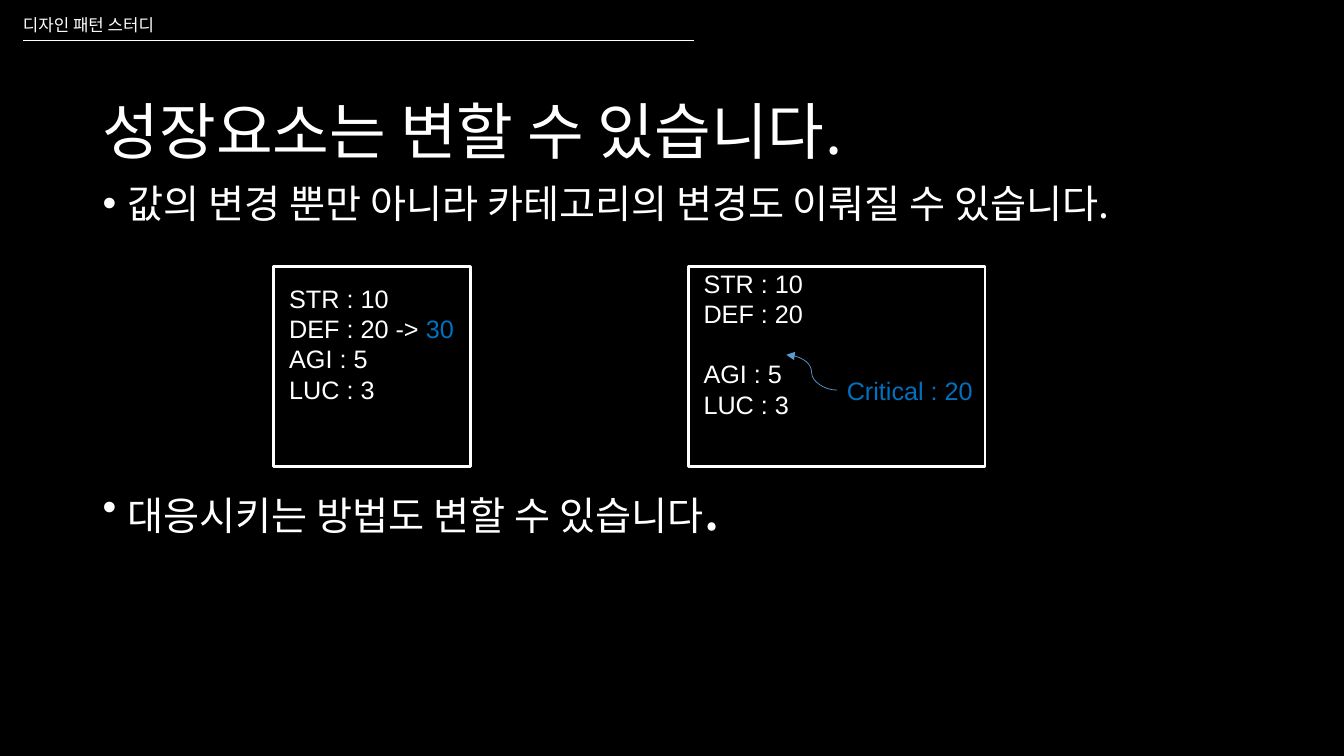
import pptx
import pptx.util
import pptx.dml.color
import pptx.enum.shapes
import pptx.enum.text
import pptx.oxml
import pptx.oxml.ns
from pptx.util import Inches

COLORS = {"background": "000000", "text": "FFFFFF", "change": "0070C0", "arrow": "5B9BD5"}
KOREAN = "Noto Sans CJK KR"
LATIN = "Arial"


def rgb(name):
    return pptx.dml.color.RGBColor.from_string(COLORS[name])


def add_run(paragraph, text, size, font, color="text"):
    run = paragraph.add_run()
    run.text = text
    run.font.size = pptx.util.Pt(size)
    run.font.name = font
    run.font.color.rgb = rgb(color)
    east_asian = pptx.oxml.parse_xml(f'<a:ea {pptx.oxml.ns.nsdecls("a")} typeface="{font}"/>')
    run.font._element.find(pptx.oxml.ns.qn("a:latin")).addnext(east_asian)


presentation = pptx.Presentation()
presentation.slide_width = Inches(13.33)
presentation.slide_height = Inches(7.5)
slide = presentation.slides.add_slide(presentation.slide_layouts[5])
slide.background.fill.solid()
slide.background.fill.fore_color.rgb = rgb("background")

heading = slide.shapes.title
heading.left, heading.top, heading.width, heading.height = Inches(0.92), Inches(0.95), Inches(11.5), Inches(0.85)
heading.text_frame.auto_size = pptx.enum.text.MSO_AUTO_SIZE.NONE
heading.text_frame.vertical_anchor = pptx.enum.text.MSO_ANCHOR.TOP
heading_line = heading.text_frame.paragraphs[0]
heading_line.alignment = pptx.enum.text.PP_ALIGN.LEFT
heading_line.line_spacing = 0.9
heading_line.space_before = pptx.util.Pt(0)
add_run(heading_line, "성장요소는 변할 수 있습니다.", 44, KOREAN)

points = slide.shapes.add_textbox(Inches(0.92), Inches(1.78), Inches(11.5), Inches(4.97)).text_frame
points.word_wrap = True
value_point = points.paragraphs[0]
method_point = points.add_paragraph()
add_run(value_point, "값의 변경 뿐만 아니라 카테고리의 변경도 이뤄질 수 있습니다.", 28, KOREAN)
add_run(method_point, "대응시키는 방법도 변할 수 있습니다", 28, KOREAN)
add_run(method_point, ".", 44, KOREAN)
for point, gap in ((value_point, 0), (method_point, 179)):
    point.line_spacing = 0.9
    point.space_before = pptx.util.Pt(gap)
    properties = point._p.get_or_add_pPr()
    properties.set("marL", str(Inches(0.25)))
    properties.set("indent", str(Inches(-0.25)))
    for bullet in ('<a:buFont {} typeface="Arial"/>', '<a:buChar {} char="•"/>'):
        properties.append(pptx.oxml.parse_xml(bullet.format(pptx.oxml.ns.nsdecls("a"))))

study_name = slide.shapes.add_textbox(Inches(0.13), Inches(0.1), Inches(2.43), Inches(0.3)).text_frame
study_name.word_wrap = True
add_run(study_name.paragraphs[0], "디자인 패턴 스터디", 12, KOREAN)

stat_blocks = [
    (2.77, 2.76, 1.84, 1.31, [("STR : 10",), ("DEF : 20 -> ", "30"), ("AGI : 5",), ("LUC : 3",)], None),
    (6.88, 2.61, 1.84, 1.62, [("STR : 10",), ("DEF : 20",), ("AGI : 5",), ("LUC : 3",)], 2),
    (8.3, 3.67, 1.58, 0.4, [("", "Critical : 20")], None),
]
for left, top, width, height, stats, gap_before in stat_blocks:
    block = slide.shapes.add_textbox(Inches(left), Inches(top), Inches(width), Inches(height)).text_frame
    block.word_wrap = True
    for index, stat in enumerate(stats):
        stat_line = block.add_paragraph() if index else block.paragraphs[0]
        if index == gap_before:
            stat_line.space_before = pptx.util.Pt(21.5)
        for text, color in zip(stat, ("text", "change")):
            if text:
                add_run(stat_line, text, 18, LATIN, color)

straight = pptx.enum.shapes.MSO_CONNECTOR.STRAIGHT
curve = pptx.enum.shapes.MSO_CONNECTOR.CURVE
header_rule = slide.shapes.add_connector(straight, Inches(0.23), Inches(0.4), Inches(6.88), Inches(0.4))
insert_arrow = slide.shapes.add_connector(curve, Inches(8.3), Inches(3.87), Inches(7.8), Inches(3.52))
for connector, color in ((header_rule, "text"), (insert_arrow, "arrow")):
    connector.line.color.rgb = rgb(color)
    connector.line.width = pptx.util.Pt(0.5)
    connector._element.spPr.append(pptx.oxml.parse_xml(f'<a:effectLst {pptx.oxml.ns.nsdecls("a")}/>'))
insert_arrow.line._get_or_add_ln().append(
    pptx.oxml.parse_xml(f'<a:tailEnd {pptx.oxml.ns.nsdecls("a")} type="triangle"/>')
)

for left, width in ((2.71, 1.96), (6.83, 2.94)):
    frame = slide.shapes.add_shape(
        pptx.enum.shapes.MSO_SHAPE.RECTANGLE, Inches(left), Inches(2.64), Inches(width), Inches(1.99)
    )
    frame.shadow.inherit = False
    frame.fill.background()
    frame.line.color.rgb = rgb("text")
    frame.line.width = pptx.util.Pt(2)

presentation.save("out.pptx")
